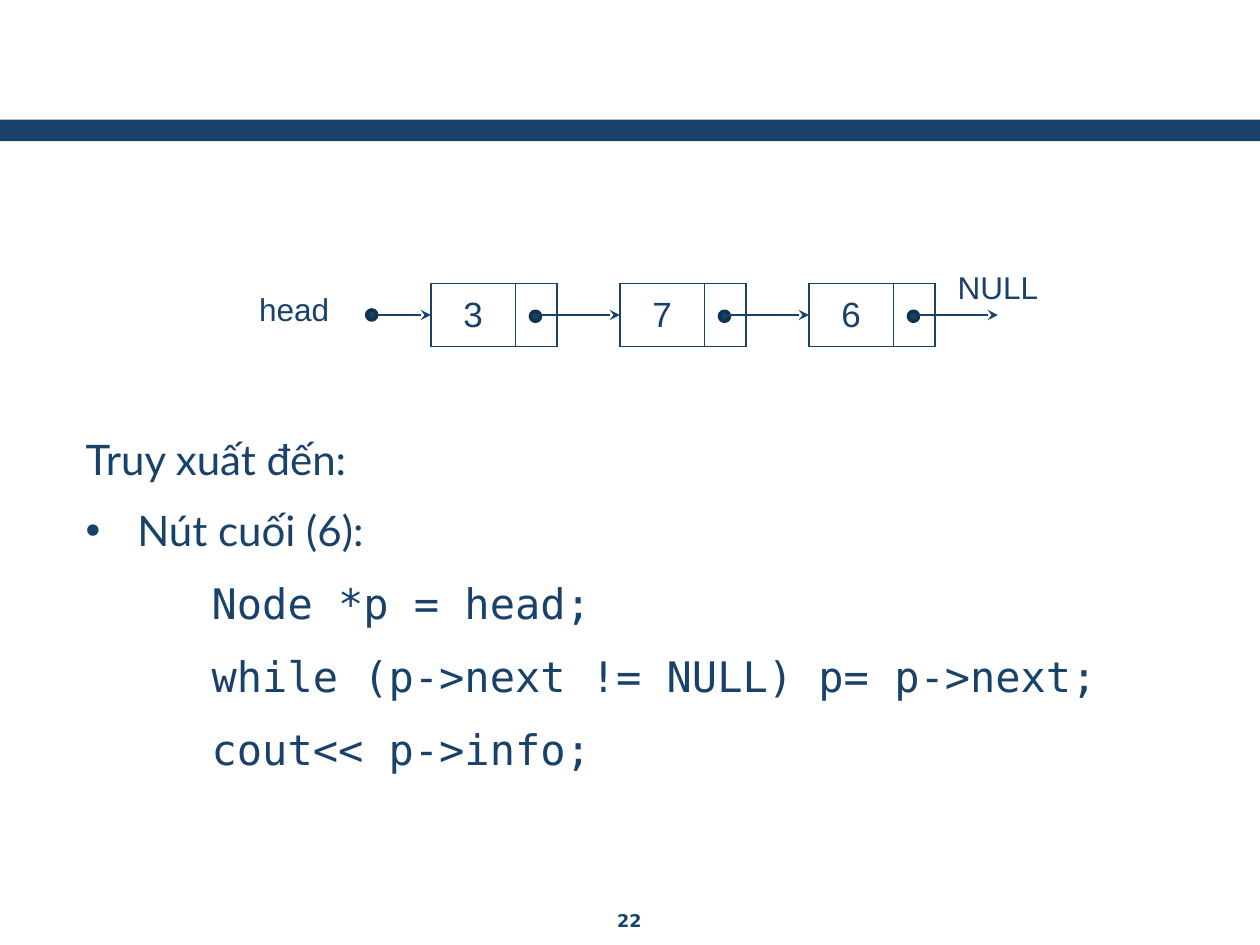
"""Build a slide about reaching the last node of a linked list."""
from dataclasses import dataclass

from lxml import etree
from pptx import Presentation
from pptx.dml.color import RGBColor
from pptx.enum.shapes import MSO_CONNECTOR, MSO_SHAPE
from pptx.enum.text import MSO_ANCHOR, MSO_AUTO_SIZE, PP_ALIGN
from pptx.oxml.ns import qn
from pptx.util import Inches, Pt

RECTANGLE, OVAL = MSO_SHAPE.RECTANGLE, MSO_SHAPE.OVAL
STRAIGHT = MSO_CONNECTOR.STRAIGHT
MIDDLE, TOP = MSO_ANCHOR.MIDDLE, MSO_ANCHOR.TOP
LEFT, CENTER = PP_ALIGN.LEFT, PP_ALIGN.CENTER
NO_FIT = MSO_AUTO_SIZE.NONE

NAVY, DOT_EDGE = "19426B", "12314F"
SANS, BODY, CODE, NUMBER = "Arial", "Lato", "DejaVu Sans Mono", "DejaVu Sans"
ROW_Y, FIRST_X, NODE_PITCH = 2.5, 3.42, 1.5
NODE_WIDTH, NODE_HEIGHT, VALUE_WIDTH = 1, 0.5, 0.67
DOT_SIZE = 0.08


@dataclass
class Label:
    """A centred caption with its place and font."""
    text: str
    left: float
    top: float
    width: float
    height: float
    size: float = 18
    font: str = SANS
    bold: bool = False


@dataclass
class Line:
    """A body line with its font, indent and optional bullet."""
    text: str
    font: str = BODY
    margin: float = 0
    bullet: str = ""
    before: float = 12


LABELS = [
    Label("head", 1.75, 2.25, 1.17, 0.4),
    Label("NULL", 7.42, 2.08, 1, 0.4),
    Label("22", 3.83, 7.17, 2.33, 0.26, 10, NUMBER, True),
]
LINES = [
    Line("Truy xuất đến:"),
    Line("Nút cuối (6):", margin=0.41, bullet="•"),
    Line("Node *p = head;", CODE, 1, before=12.9),
    Line("while (p->next != NULL) p= p->next;", CODE, 1, before=12.9),
    Line("cout<< p->info;", CODE, 1, before=12.9),
]


def color(value: str) -> RGBColor:
    """Turn a hex string into a colour."""
    return RGBColor.from_string(value)


def style(para, size: float, font: str, align=CENTER, bold: bool = False) -> None:
    """Format the paragraph and its runs."""
    para.alignment = align
    for span in para.runs:
        span.font.size, span.font.name, span.font.bold = Pt(size), font, bold
        span.font.color.rgb = color(NAVY)


def add_label(page, label: Label) -> None:
    """Add a centred caption."""
    box = page.shapes.add_textbox(Inches(label.left), Inches(label.top),
                                  Inches(label.width), Inches(label.height))
    box.text_frame.word_wrap = True
    box.text_frame.text = label.text
    style(box.text_frame.paragraphs[0], label.size, label.font, bold=label.bold)


def add_filled(page, kind, left: float, top: float, width: float, height: float):
    """Add a navy shape without outline or shadow."""
    shape = page.shapes.add_shape(kind, Inches(left), Inches(top),
                                  Inches(width), Inches(height))
    shape.shadow.inherit = False
    shape.fill.solid()
    shape.fill.fore_color.rgb = color(NAVY)
    shape.line.fill.background()
    return shape


def add_pointer(page, dot_left: float, dot_top: float, start: float, end: float) -> None:
    """Add a dot and the arrow that leaves it."""
    dot = add_filled(page, OVAL, dot_left, dot_top, DOT_SIZE, DOT_SIZE)
    dot.line.color.rgb = color(DOT_EDGE)
    dot.line.width = Pt(2)
    arrow = page.shapes.add_connector(STRAIGHT, Inches(start), Inches(ROW_Y),
                                      Inches(end), Inches(ROW_Y))
    arrow.line.color.rgb = color(NAVY)
    arrow.line.width = Pt(1.5)
    etree.SubElement(arrow.line._get_or_add_ln(), qn("a:tailEnd"), type="stealth")
    etree.SubElement(arrow._element.spPr, qn("a:effectLst"))


def add_border(cell) -> None:
    """Draw all four cell borders."""
    properties = cell._tc.get_or_add_tcPr()
    for position, side in enumerate(("lnL", "lnR", "lnT", "lnB")):
        border = etree.Element(qn(f"a:{side}"), w=str(Pt(1)))
        fill = etree.SubElement(border, qn("a:solidFill"))
        etree.SubElement(fill, qn("a:srgbClr"), val=NAVY)
        properties.insert(position, border)


def add_node(page, value: str, left: float) -> None:
    """Add a list node with its value and its next pointer."""
    table = page.shapes.add_table(1, 2, Inches(left), Inches(ROW_Y - NODE_HEIGHT / 2),
                                  Inches(NODE_WIDTH), Inches(NODE_HEIGHT)).table
    table.first_row = table.horz_banding = False
    table.columns[0].width = Inches(VALUE_WIDTH)
    table.columns[1].width = Inches(NODE_WIDTH - VALUE_WIDTH)
    for cell in table.iter_cells():
        cell.fill.background()
        cell.vertical_anchor = MIDDLE
        add_border(cell)
    table.cell(0, 0).text_frame.text = value
    style(table.cell(0, 0).text_frame.paragraphs[0], 20, SANS)
    start = left + 0.83
    add_pointer(page, start - DOT_SIZE / 2, ROW_Y - 0.03, start, left + NODE_PITCH)


def fill_body(box, lines: list[Line]) -> None:
    """Place the body placeholder and write its lines."""
    box.left, box.top = Inches(0.58), Inches(3.39)
    box.width, box.height = Inches(8.83), Inches(3.2)
    frame = box.text_frame
    frame.auto_size, frame.vertical_anchor, frame.word_wrap = NO_FIT, TOP, True
    frame.text = "\n".join(line.text for line in lines)
    for para, line in zip(frame.paragraphs, lines):
        style(para, 24, line.font, LEFT)
        para.space_before = Pt(line.before)
        properties = para._p.get_or_add_pPr()
        properties.set("marL", str(Inches(line.margin)))
        properties.set("indent", str(-Inches(line.margin) if line.bullet else 0))
        if line.bullet:
            etree.SubElement(properties, qn("a:buFont"), typeface=SANS)
            etree.SubElement(properties, qn("a:buChar"), char=line.bullet)
        else:
            etree.SubElement(properties, qn("a:buNone"))


def main() -> None:
    """Build and save the deck."""
    deck = Presentation()
    deck.slide_width, deck.slide_height = Inches(10), Inches(7.5)
    page = deck.slides.add_slide(deck.slide_layouts[1])
    title = page.shapes.title._element
    title.getparent().remove(title)
    add_filled(page, RECTANGLE, 0, 0.95, 10, 0.17)
    for index, value in enumerate(("3", "7", "6")):
        add_node(page, value, FIRST_X + index * NODE_PITCH)
    add_pointer(page, 2.91, ROW_Y - DOT_SIZE / 2, 2.99, FIRST_X)
    for label in LABELS:
        add_label(page, label)
    fill_body(page.placeholders[1], LINES)
    deck.save("out.pptx")


if __name__ == "__main__":
    main()
